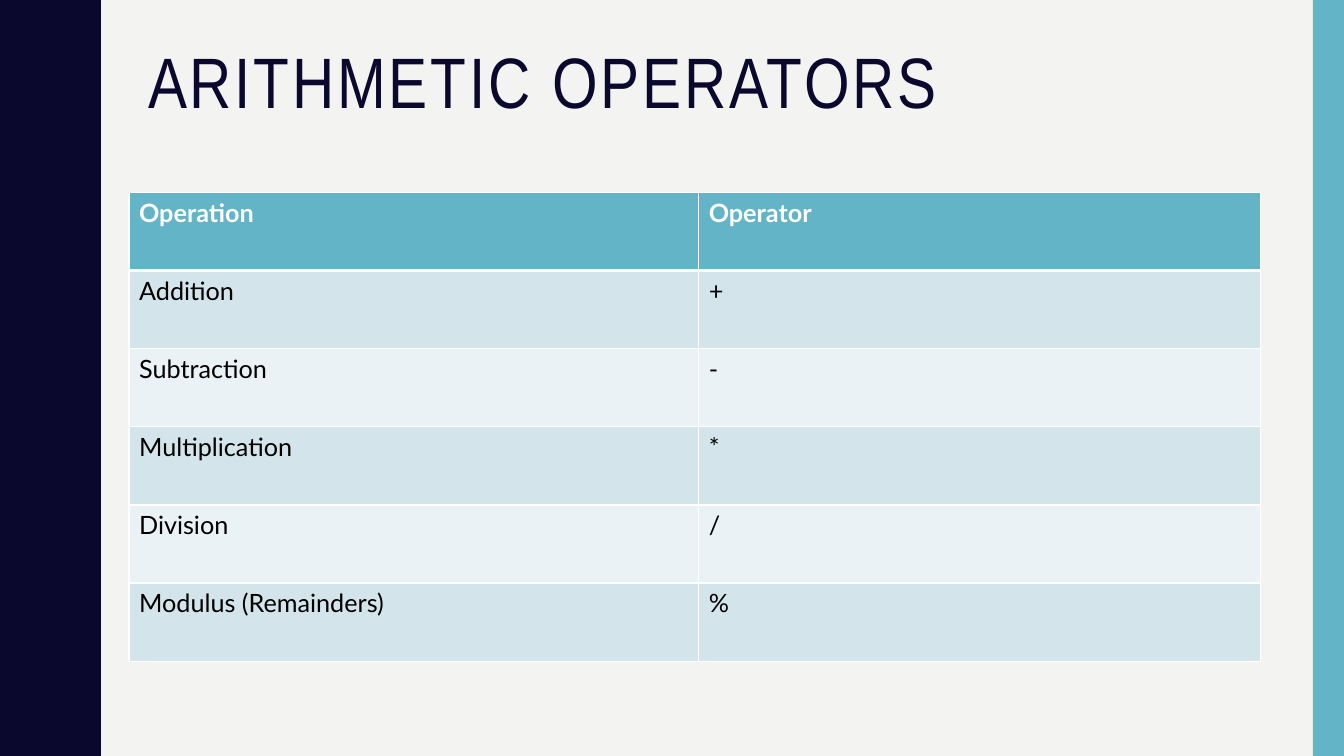
"""Build the slide that lists the arithmetic operators in a table."""
from lxml import etree
from pptx import Presentation
from pptx.dml.color import RGBColor
from pptx.enum.shapes import MSO_SHAPE
from pptx.enum.text import MSO_ANCHOR
from pptx.oxml.ns import qn
from pptx.util import Inches, Pt

RECTANGLE = MSO_SHAPE.RECTANGLE
TOP = MSO_ANCHOR.TOP

TITLE = "ARITHMETIC OPERATORS"
OPERATORS = [
    ("Operation", "Operator"),
    ("Addition", "+"),
    ("Subtraction", "-"),
    ("Multiplication", "*"),
    ("Division", "/"),
    ("Modulus (Remainders)", "%"),
]
COLORS = {
    "paper": "F3F3F2", "navy": "0B082E", "teal": "62B4C6",
    "odd": "D3E5EA", "even": "EAF2F5", "white": "FFFFFF", "black": "000000",
}
TITLE_FONT, TABLE_FONT = "Arial Narrow", "Lato"

WIDTH, HEIGHT = 13.33, 7.5
STRIPE = 0.31
WAVES = 5
PERIOD = HEIGHT / WAVES
HALF_WAVE = [
    (0.78, 0), (0.78, 0.07), (0.79, 0.14), (0.8, 0.2), (0.81, 0.25),
    (0.83, 0.29), (0.85, 0.33), (0.87, 0.38), (0.89, 0.42), (0.91, 0.46),
    (0.93, 0.5), (0.95, 0.55), (0.96, 0.61), (0.97, 0.68), (0.97, 0.75),
]
TITLE_BOX = (1.37, 0.42, 11.13, 1.63)
TABLE_LEFT, TABLE_TOP = 1.28, 1.91
COLUMNS = (5.65, 5.57)
ROW = 0.775


def color(name):
    return RGBColor.from_string(COLORS[name])


def paint(shape, name):
    shape.fill.solid()
    shape.fill.fore_color.rgb = color(name)
    shape.line.fill.background()
    shape.shadow.inherit = False


def style(run, font, size, name, bold=False):
    run.font.name = font
    run.font.size = Pt(size)
    run.font.bold = bold
    run.font.color.rgb = color(name)


def add_wave(slide):
    wave = HALF_WAVE + [(x, PERIOD - y) for x, y in HALF_WAVE[-2::-1]]
    edge = [(x, y + PERIOD * n) for n in range(WAVES) for x, y in wave]
    builder = slide.shapes.build_freeform(0, 0, scale=Inches(1))
    builder.add_line_segments(edge + [(0, HEIGHT)], close=True)
    paint(builder.convert_to_shape(), "navy")


def add_stripe(slide):
    stripe = slide.shapes.add_shape(
        RECTANGLE, Inches(WIDTH - STRIPE), 0, Inches(STRIPE), Inches(HEIGHT))
    paint(stripe, "teal")


def add_title(slide):
    frame = slide.shapes.add_textbox(*map(Inches, TITLE_BOX)).text_frame
    frame.word_wrap = True
    frame.vertical_anchor = TOP
    frame.text = TITLE
    heading = frame.paragraphs[0]
    heading.line_spacing = 0.9
    style(heading.runs[0], TITLE_FONT, 51, "navy")
    heading.runs[0].font._element.set("spc", "200")


def add_borders(cell, widths):
    properties = cell._tc.get_or_add_tcPr()
    for side, width in widths.items():
        line = etree.SubElement(properties, qn(f"a:ln{side}"), w=str(Pt(width)))
        fill = etree.SubElement(line, qn("a:solidFill"))
        etree.SubElement(fill, qn("a:srgbClr"), val=COLORS["white"])


def add_operators(slide):
    table = slide.shapes.add_table(
        len(OPERATORS), len(COLUMNS), Inches(TABLE_LEFT), Inches(TABLE_TOP),
        Inches(sum(COLUMNS)), Inches(ROW * len(OPERATORS))).table
    for column, width in zip(table.columns, COLUMNS):
        column.width = Inches(width)
    for r, texts in enumerate(OPERATORS):
        table.rows[r].height = Inches(ROW)
        header = r == 0
        band = "teal" if header else "odd" if r % 2 else "even"
        borders = {"L": 1, "R": 1, "T": 3 if r == 1 else 1, "B": 3 if header else 1}
        for c, text in enumerate(texts):
            cell = table.cell(r, c)
            cell.text = text
            style(cell.text_frame.paragraphs[0].runs[0], TABLE_FONT, 18,
                  "white" if header else "black", header)
            add_borders(cell, borders)
            cell.fill.solid()
            cell.fill.fore_color.rgb = color(band)


def main():
    deck = Presentation()
    deck.slide_width, deck.slide_height = Inches(WIDTH), Inches(HEIGHT)
    slide = deck.slides.add_slide(deck.slide_layouts[6])
    slide.background.fill.solid()
    slide.background.fill.fore_color.rgb = color("paper")
    add_wave(slide)
    add_stripe(slide)
    add_title(slide)
    add_operators(slide)
    deck.save("out.pptx")


if __name__ == "__main__":
    main()
